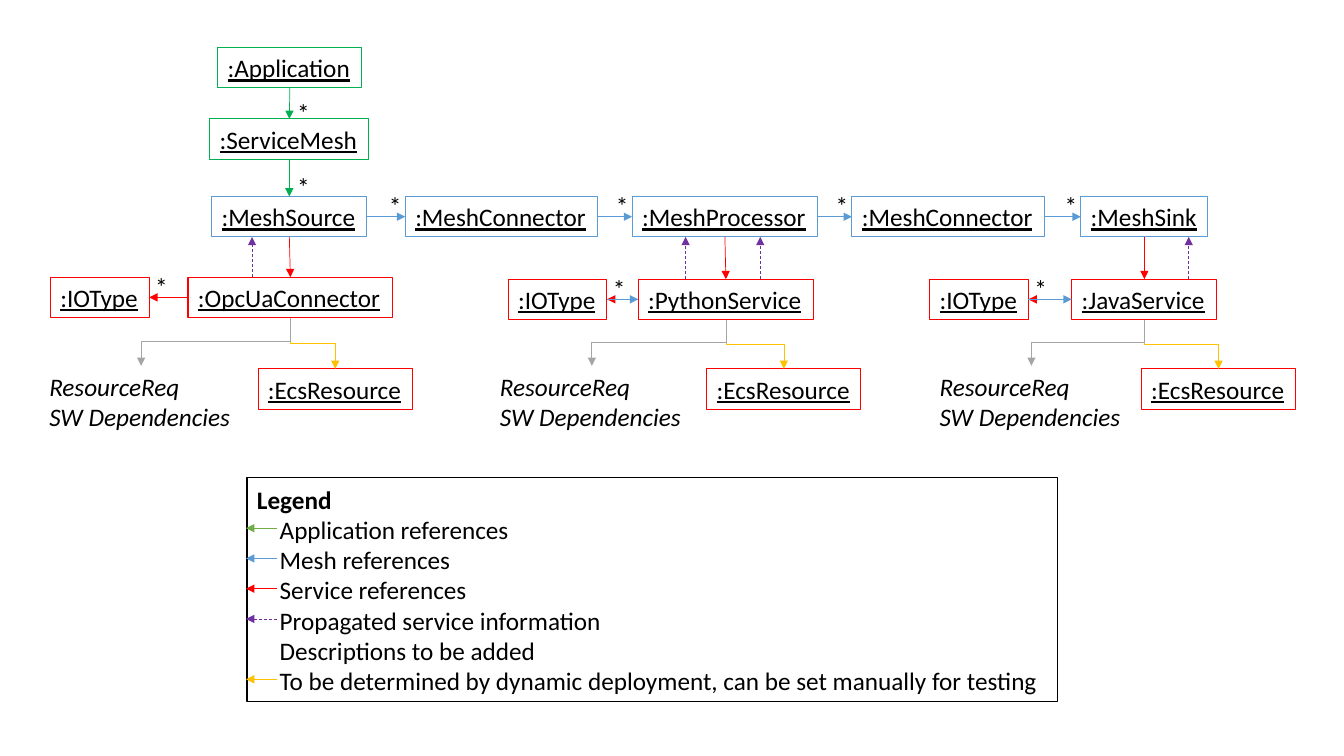
from lxml import etree
from pptx import Presentation, util as u
from pptx.dml.color import RGBColor
from pptx.enum import dml, shapes, text
from pptx.oxml.ns import qn

BLACK, WHITE, GREY = "000000", "FFFFFF", "A5A5A5"
GREEN, LEGEND_GREEN, BLUE = "00B050", "70AD47", "5B9BD5"
RED, PURPLE, AMBER = "FF0000", "7030A0", "FFC000"
TOP, LEFT, BOTTOM, RIGHT = range(4)
BOX_ROWS = 4
MESH_ROW = 19.5


def grid(cells):
    """Length of a number of grid columns or rows, each a tenth of an inch."""
    return u.Inches(cells / 10)


def color(hex_text):
    return RGBColor.from_string(hex_text)


def write(shape, lines, bold_first=False, italic=False, underline=False, indent=0):
    """Fill the shape with left-aligned lines; indent applies after the first."""
    frame = shape.text_frame
    frame.word_wrap = False
    for index, line in enumerate(lines):
        paragraph = frame.paragraphs[0] if index == 0 else frame.add_paragraph()
        paragraph.alignment = text.PP_ALIGN.LEFT
        if index and indent:
            paragraph._p.get_or_add_pPr().set("marL", str(grid(indent)))
        run = paragraph.add_run()
        run.text = line
        font = run.font
        font.name, font.size = "Calibri", u.Pt(18)
        font.color.rgb = color(BLACK)
        font.bold = bold_first and index == 0
        font.italic, font.underline = italic, underline


def add_box(slide, left, top, width, height, line_color, lines, **text_format):
    shape = slide.shapes.add_shape(
        shapes.MSO_SHAPE.RECTANGLE, *map(grid, (left, top, width, height)))
    shape.shadow.inherit = False
    shape.fill.solid()
    shape.fill.fore_color.rgb = color(WHITE)
    shape.line.color.rgb = color(line_color)
    shape.line.width = u.Pt(0.75)
    write(shape, lines, **text_format)
    return shape


def add_object(slide, left, top, width, line_color, name):
    return add_box(slide, left, top, width, BOX_ROWS, line_color, [name], underline=True)


def add_label(slide, left, top, width, height, lines, **text_format):
    label = slide.shapes.add_textbox(*map(grid, (left, top, width, height)))
    write(label, lines, **text_format)


def add_star(slide, left, top):
    add_label(slide, left, top, 3.3, BOX_ROWS, ["*"])


def add_arrow(slide, start, end, line_color, kind=shapes.MSO_CONNECTOR.STRAIGHT):
    arrow = slide.shapes.add_connector(kind, *map(grid, (*start, *end)))
    arrow.line.color.rgb = color(line_color)
    arrow.line.width = u.Pt(0.5)
    if line_color == PURPLE:
        arrow.line.dash_style = dml.MSO_LINE.DASH
    properties = arrow._element.spPr
    etree.SubElement(properties.find(qn("a:ln")), qn("a:tailEnd"), type="triangle")
    etree.SubElement(properties, qn("a:effectLst"))
    return arrow


def join(slide, source, source_side, target, target_side, line_color):
    arrow = add_arrow(slide, (0, 0), (1, 1), line_color)
    arrow.begin_connect(source, source_side)
    arrow.end_connect(target, target_side)


def add_fork_branch(slide, start, end, line_color):
    """Elbow arrow that leaves downwards: a sideways elbow turned a quarter."""
    center_x, center_y = (start[0] + end[0]) / 2, (start[1] + end[1]) / 2
    half_length, half_width = (end[1] - start[1]) / 2, abs(end[0] - start[0]) / 2
    goes_right = end[0] > start[0]
    reach = -half_length if goes_right else half_length
    arrow = add_arrow(slide, (center_x - reach, center_y - half_width),
                      (center_x + reach, center_y + half_width),
                      line_color, shapes.MSO_CONNECTOR.ELBOW)
    arrow._element.spPr.find(qn("a:xfrm")).set("rot", str((270 if goes_right else 90) * 60000))


def add_application(slide, center, top):
    """Application above its service mesh; returns the service mesh box."""
    application = add_object(slide, center - 7.2, top, 14.3, GREEN, ":Application")
    mesh_top = top + 7.1
    mesh = add_object(slide, center - 8, mesh_top, 15.8, GREEN, ":ServiceMesh")
    join(slide, application, BOTTOM, mesh, TOP, GREEN)
    for box_top, next_top in ((top, mesh_top), (mesh_top, MESH_ROW)):
        add_star(slide, center - 0.3, (box_top + BOX_ROWS + next_top) / 2 - 1.1)
    return mesh


def add_mesh_chain(slide, top, columns):
    """Row of mesh boxes, each pointing to the next one."""
    chain = []
    for name, left, width in columns:
        chain.append(add_object(slide, left, top, width, BLUE, name))
        if len(chain) > 1:
            join(slide, chain[-2], RIGHT, chain[-1], LEFT, BLUE)
            add_star(slide, left - 2.6, top - 1.1)
    return chain


def add_service(slide, mesh_box, name, center, top, width, type_left, note_left,
                resource_left, feedback, two_way):
    """Service below its mesh box, with its type, requirements and resource."""
    service = add_object(slide, center - width / 2, top, width, RED, name)
    join(slide, mesh_box, BOTTOM, service, TOP, RED)
    for column in feedback:
        add_arrow(slide, (column, top), (column, MESH_ROW + BOX_ROWS), PURPLE)

    type_width, resource_width, note_width = 9.8, 15.3, 20.2
    io_type = add_object(slide, type_left, top, type_width, RED, ":IOType")
    join(slide, service, LEFT, io_type, RIGHT, RED)
    if two_way:
        join(slide, io_type, RIGHT, service, LEFT, BLUE)
    add_star(slide, type_left + type_width - 0.4, top - 1.1)

    fork, note_top, resource_top = (center, top + BOX_ROWS), 36.3, 36.6
    add_object(slide, resource_left, resource_top, resource_width, RED, ":EcsResource")
    add_fork_branch(slide, fork, (resource_left + resource_width / 2, resource_top), AMBER)
    add_label(slide, note_left, note_top, note_width, 7.1,
              ["ResourceReq", "SW Dependencies"], italic=True)
    add_fork_branch(slide, fork, (note_left + note_width / 2, note_top), GREY)


def add_legend(slide, left, top, width, height):
    entries = [("Application references", LEGEND_GREEN), ("Mesh references", BLUE),
               ("Service references", RED), ("Propagated service information", PURPLE),
               ("Descriptions to be added", None),
               ("To be determined by dynamic deployment, can be set manually for testing",
                AMBER)]
    add_box(slide, left, top, width, height, BLACK,
            ["Legend"] + [label for label, _ in entries], bold_first=True, indent=2.26)
    for index, (_, line_color) in enumerate(entries):
        row = top + 5 + 3 * index
        if line_color:
            add_arrow(slide, (left + 3, row), (left - 0.1, row), line_color)


def main():
    presentation = Presentation()
    presentation.slide_width, presentation.slide_height = u.Inches(13.33), u.Inches(7.5)
    slide = presentation.slides.add_slide(presentation.slide_layouts[6])

    service_mesh = add_application(slide, 28.8, 4.7)
    source, _, processor, _, sink = add_mesh_chain(slide, MESH_ROW, [
        (":MeshSource", 21, 15.4), (":MeshConnector", 40.2, 19.1),
        (":MeshProcessor", 62.7, 18.4), (":MeshConnector", 84.5, 19.1),
        (":MeshSink", 107.2, 12.6)])
    join(slide, service_mesh, BOTTOM, source, TOP, GREEN)

    add_service(slide, source, ":OpcUaConnector", 28.8, 27.5, 20.3, type_left=5,
                note_left=3.9, resource_left=25.6, feedback=[25], two_way=False)
    add_service(slide, processor, ":PythonService", 72, 27.7, 17.4, type_left=50.4,
                note_left=48.6, resource_left=70.1, feedback=[68, 75.4], two_way=True)
    add_service(slide, sink, ":JavaService", 113.5, 27.7, 14.4, type_left=92.2,
                note_left=92.2, resource_left=113.2, feedback=[117.9], two_way=True)
    add_legend(slide, 24.5, 47.4, 80.4, 22.2)
    presentation.save("out.pptx")


if __name__ == "__main__":
    main()
